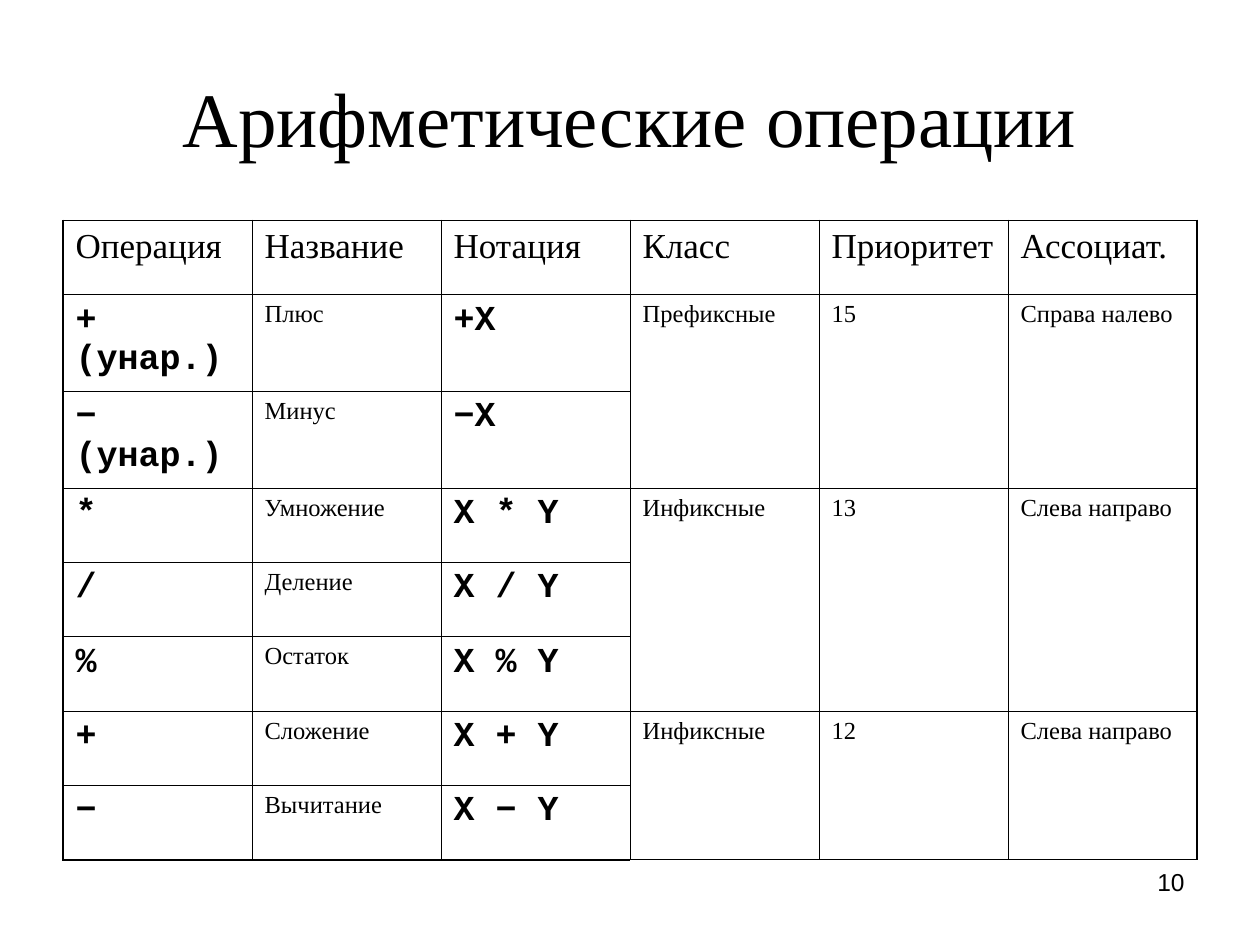
from lxml.etree import SubElement
from pptx import Presentation
from pptx.dml.color import RGBColor
from pptx.enum.text import MSO_ANCHOR, PP_ALIGN
from pptx.oxml.ns import qn
from pptx.util import Inches, Pt

# Content
TITLE = "Арифметические операции"
PAGE = "10"
HEADER = ["Операция", "Название", "Нотация", "Класс", "Приоритет", "Ассоциат."]
# Each group shares its class, priority and associativity
GROUPS = [
    (("Префиксные", "15", "Справа налево"),
     [("+(унар.)", "Плюс", "+X"), ("−(унар.)", "Минус", "−X")]),
    (("Инфиксные", "13", "Слева направо"),
     [("*", "Умножение", "X * Y"), ("/", "Деление", "X / Y"),
      ("%", "Остаток", "X % Y")]),
    (("Инфиксные", "12", "Слева направо"),
     [("+", "Сложение", "X + Y"), ("−", "Вычитание", "X − Y")]),
]

# Style
BLACK = "000000"
SERIF, MONO, SANS = "Times New Roman", "Courier New", "Arial"
COL_W, ROW_H, TALL_H = 1.5, 0.59, 0.73
THIN, THICK = 0.45, 1.08


def color(hex_str):
    return RGBColor.from_string(hex_str)


def write(tf, text, size, font=SERIF, bold=False, align=PP_ALIGN.LEFT):
    tf.word_wrap = True
    p = tf.paragraphs[0]
    p.alignment = align
    r = p.add_run()
    r.text = text
    r.font.size, r.font.name, r.font.bold = Pt(size), font, bold
    r.font.color.rgb = color(BLACK)


def add_text(box, text, size, font, align, anchor):
    tf = slide.shapes.add_textbox(*map(Inches, box)).text_frame
    tf.vertical_anchor = anchor
    write(tf, text, size, font, align=align)


def set_borders(cell, widths):
    tcPr = cell._tc.get_or_add_tcPr()
    for side, width in zip("LRTB", widths):
        ln = SubElement(tcPr, qn(f"a:ln{side}"), w=str(Pt(width)))
        fill = SubElement(ln, qn("a:solidFill"))
        SubElement(fill, qn("a:srgbClr"), val=BLACK)


prs = Presentation()
prs.slide_width, prs.slide_height = Inches(10), Inches(7.5)
slide = prs.slides.add_slide(prs.slide_layouts[6])

# Title
add_text((0.5, 0.3, 9, 1.25), TITLE, 44, SERIF, PP_ALIGN.CENTER, MSO_ANCHOR.MIDDLE)

# Table grid
n_cols = len(HEADER)
n_rows = 1 + sum(len(ops) for _, ops in GROUPS)
frame = slide.shapes.add_table(n_rows, n_cols, Inches(0.5), Inches(1.75),
                               Inches(n_cols * COL_W), Inches(4.99))
table = frame.table
table.first_row = table.horz_banding = False
for col in table.columns:
    col.width = Inches(COL_W)
for i, row in enumerate(table.rows):
    row.height = Inches(TALL_H if i in (1, 2) else ROW_H)
    for j, cell in enumerate(row.cells):
        outer = (j == 0, j == n_cols - 1, i == 0, i == n_rows - 1)
        set_borders(cell, [THICK if edge else THIN for edge in outer])
        cell.fill.background()

# Table text
for j, text in enumerate(HEADER):
    write(table.cell(0, j).text_frame, text, 20)
top = 1
for shared, ops in GROUPS:
    for i, (sign, name, notation) in enumerate(ops, top):
        write(table.cell(i, 0).text_frame, sign, 20, MONO, True)
        write(table.cell(i, 1).text_frame, name, 14)
        write(table.cell(i, 2).text_frame, notation, 20, MONO, True)
    for j, text in enumerate(shared, 3):
        cell = table.cell(top, j)
        cell.merge(table.cell(top + len(ops) - 1, j))
        write(cell.text_frame, text, 14)
    top += len(ops)

# Page number
add_text((7.17, 6.83, 2.33, 0.52), PAGE, 14, SANS, PP_ALIGN.RIGHT, MSO_ANCHOR.TOP)

prs.save("out.pptx")
